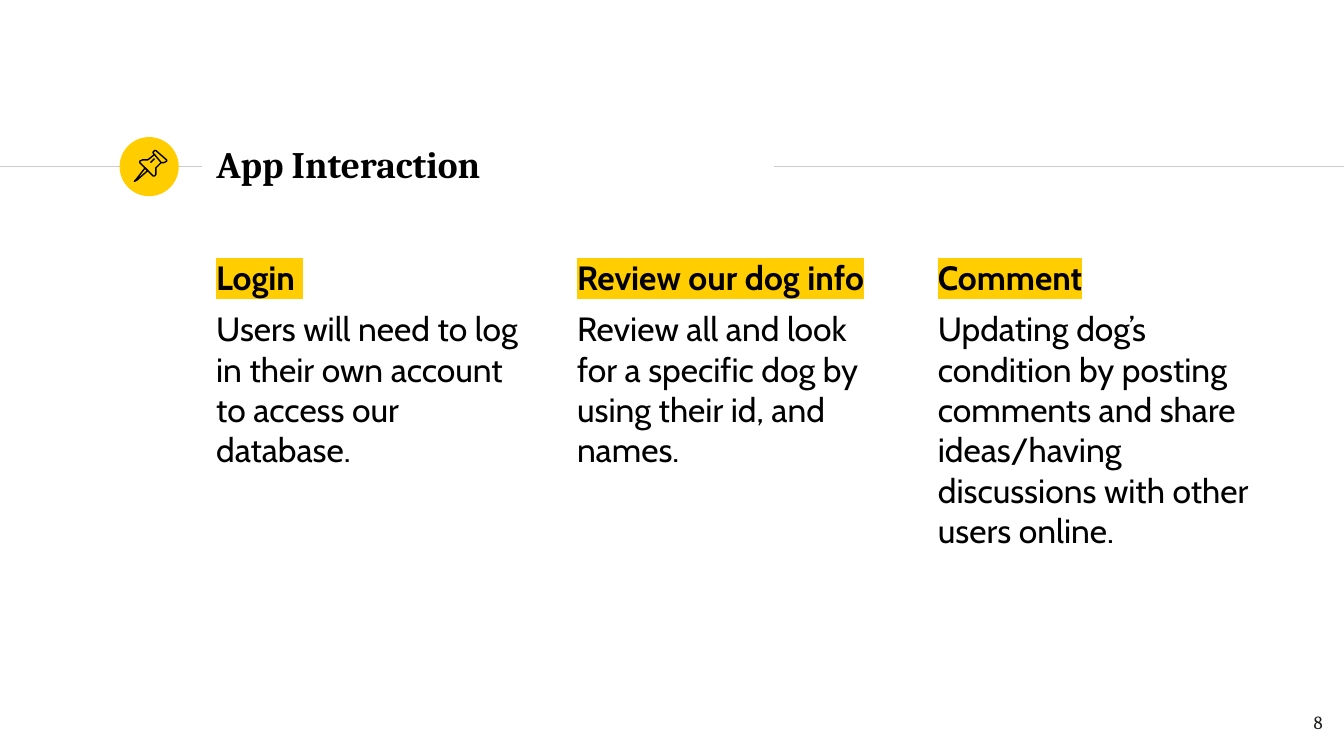
import dataclasses

import pptx
import pptx.util
import pptx.dml.color
import pptx.enum.shapes
import pptx.enum.text
from lxml import etree

NS = "http://schemas.openxmlformats.org/drawingml/2006/main"
WIDE, HIGH = 100, 56.25


@dataclasses.dataclass
class Theme:
    ink: str = "000000"
    gold: str = "FFCD00"
    rule: str = "CCCCCC"
    foot: str = "1D1D1B"
    serif: str = "Cambria"
    sans: str = "Cabin"
    large: float = 20
    text: float = 18
    small: float = 10
    thin: float = 0.75
    gap: float = 6


class Deck:
    def __init__(self, theme):
        self.theme = theme
        self.file = pptx.Presentation()
        self.file.slide_width = self.cell(WIDE)
        self.file.slide_height = self.cell(HIGH)
        self.slide = self.file.slides.add_slide(self.file.slide_layouts[5])
        self.shapes = self.slide.shapes

    def cell(self, count):
        return pptx.util.Inches(count / 10)

    def tint(self, color):
        return pptx.dml.color.RGBColor.from_string(color)

    def style(self, para, size, face, color, bold=False, mark=None):
        for run in para.runs:
            font = run.font
            font.size = pptx.util.Pt(size)
            font.bold = bold
            font.color.rgb = self.tint(color)
            font.name = face
            if mark:
                light = etree.Element(f"{{{NS}}}highlight")
                etree.SubElement(light, f"{{{NS}}}srgbClr", val=mark)
                font.fill._xPr.find(f"{{{NS}}}solidFill").addnext(light)

    def frame(self, shape):
        frame = shape.text_frame
        frame.word_wrap = True
        frame.auto_size = pptx.enum.text.MSO_AUTO_SIZE.NONE
        frame.margin_left = frame.margin_right = self.cell(1)
        frame.margin_top = frame.margin_bottom = self.cell(1)
        return frame

    def box(self, *area):
        return self.frame(self.shapes.add_textbox(*map(self.cell, area)))

    def title(self, text, *area):
        shape = self.shapes.title
        shape.left, shape.top, shape.width, shape.height = map(self.cell, area)
        frame = self.frame(shape)
        frame.vertical_anchor = pptx.enum.text.MSO_ANCHOR.MIDDLE
        frame.text = text
        para = frame.paragraphs[0]
        para.alignment = pptx.enum.text.PP_ALIGN.LEFT
        look = self.theme
        self.style(para, look.large, look.serif, look.ink, True)

    def panel(self, head, body, *area):
        look = self.theme
        frame = self.box(*area)
        frame.text = f"{head}\n{body}"
        for para in frame.paragraphs:
            para.space_before = pptx.util.Pt(look.gap)
        first, last = frame.paragraphs
        self.style(first, look.text, look.sans, look.ink, True, look.gold)
        self.style(last, look.text, look.sans, look.ink)

    def number(self, text, *area):
        look = self.theme
        frame = self.box(*area)
        frame.text = text
        para = frame.paragraphs[0]
        para.alignment = pptx.enum.text.PP_ALIGN.RIGHT
        self.style(para, look.small, look.serif, look.foot)

    def stroke(self, shape, color):
        shape.line.color.rgb = self.tint(color)
        shape.line.width = pptx.util.Pt(self.theme.thin)

    def rule(self, left, right, row):
        kind = pptx.enum.shapes.MSO_CONNECTOR.STRAIGHT
        line = self.shapes.add_connector(kind, *map(self.cell, (left, row, right, row)))
        self.stroke(line, self.theme.rule)
        etree.SubElement(line._element.spPr, f"{{{NS}}}effectLst")

    def disc(self, left, top, size):
        kind = pptx.enum.shapes.MSO_SHAPE.OVAL
        shape = self.shapes.add_shape(kind, *map(self.cell, (left, top, size, size)))
        shape.shadow.inherit = False
        shape.fill.solid()
        shape.fill.fore_color.rgb = self.tint(self.theme.gold)
        shape.line.fill.background()

    def sketch(self, points, close):
        spots = [(self.cell(x), self.cell(y)) for x, y in points]
        pen = self.shapes.build_freeform(*spots[0], scale=1.0)
        pen.add_line_segments(spots[1:], close=close)
        shape = pen.convert_to_shape()
        shape.shadow.inherit = False
        shape.fill.background()
        self.stroke(shape, self.theme.ink)


NEEDLE = [(10.8, 12.5), (10.1, 13.4), (10, 13.5), (10.2, 13.4), (11, 12.7)]
CAP = [(11.5, 11.5), (12, 12.1), (12.2, 12.1), (12.3, 12.05), (12.4, 12),
       (12.4, 11.9), (11.6, 11.2), (11.5, 11.2), (11.4, 11.3), (11.4, 11.4)]
BODY = [(11.5, 11.5), (11, 11.9), (10.8, 11.9), (10.6, 11.9), (10.4, 12),
        (10.4, 12.1), (11.4, 13.1), (11.5, 13.1), (11.6, 13), (11.6, 12.8),
        (11.6, 12.5), (12, 12.1)]
SHINE = [(11.2, 12.1), (11.5, 11.8)]
PIN = [(NEEDLE, True), (CAP, True), (BODY, False), (SHINE, False)]

PANELS = [
    ("Login ", "Users will need to log in their own account to access our database."),
    ("Review our dog info",
     "Review all and look for a specific dog by using their id, and names."),
    ("Comment",
     "Updating dog’s condition by posting comments and share ideas/having "
     "discussions with other users online."),
]
LEFT, STEP, ROW = 15.1, 26.85, 12.4


def main():
    deck = Deck(Theme())
    deck.rule(0, 15, ROW)
    deck.disc(8.9, 10.2, 4.4)
    deck.rule(57.6, WIDE, ROW)
    deck.title("App Interaction", LEFT, 9.8, 42.4, 4.8)
    for index, (head, body) in enumerate(PANELS):
        deck.panel(head, body, LEFT + index * STEP, 18.1, 25.5, 34.1)
    for points, close in PIN:
        deck.sketch(points, close)
    deck.number("8", 93.4, 51.9, 6, 4.3)
    deck.file.save("out.pptx")


if __name__ == "__main__":
    main()
